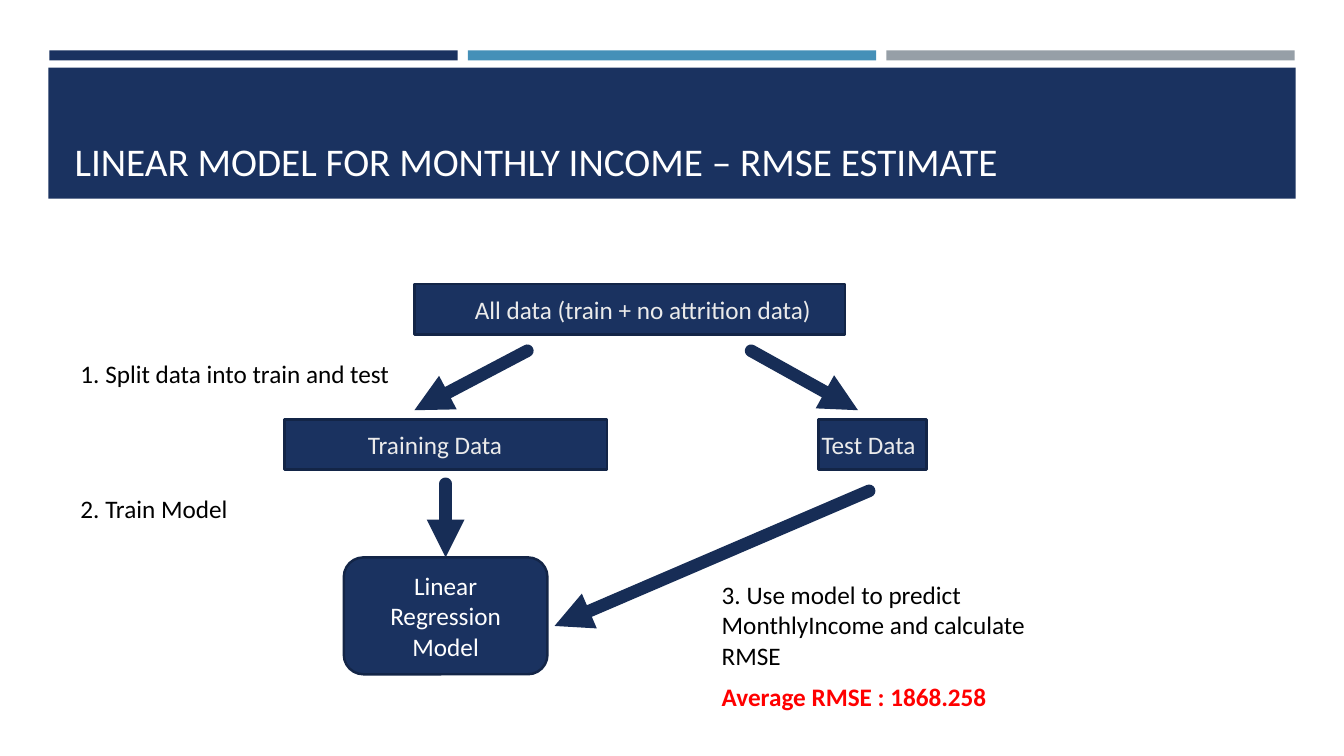
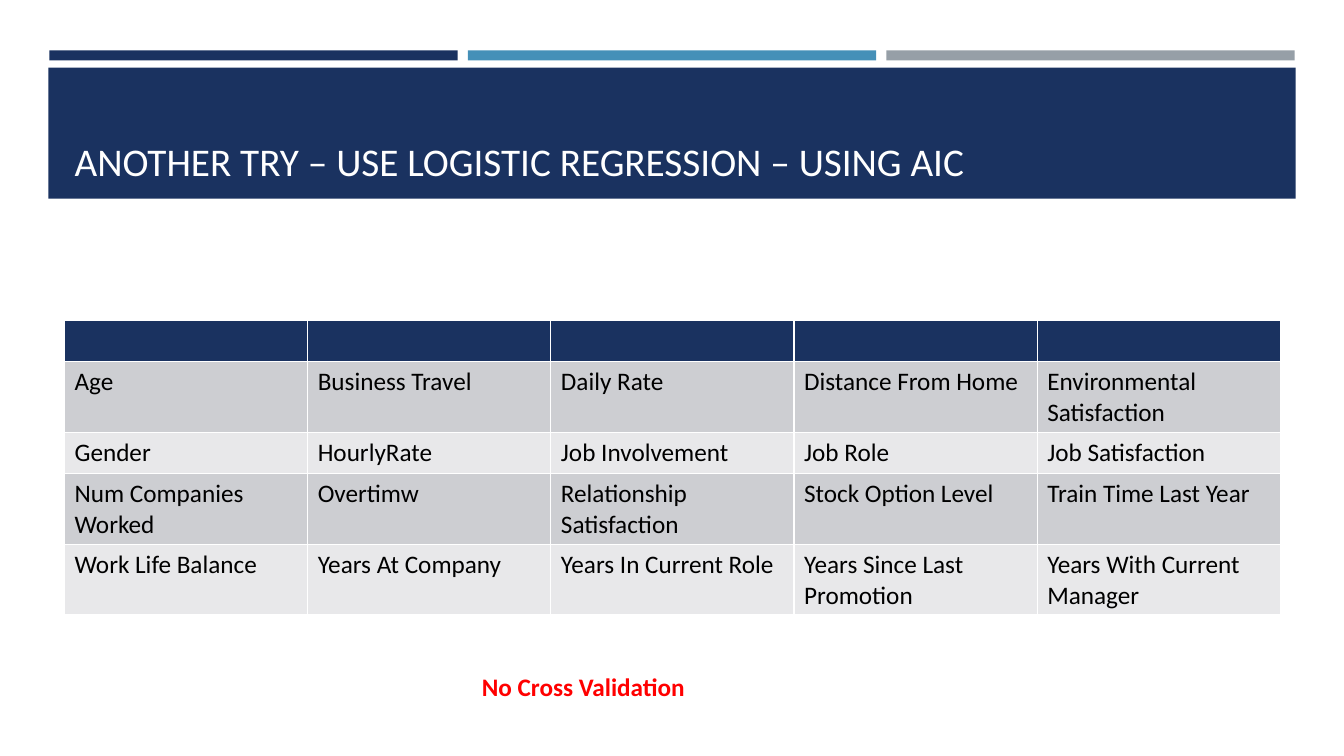
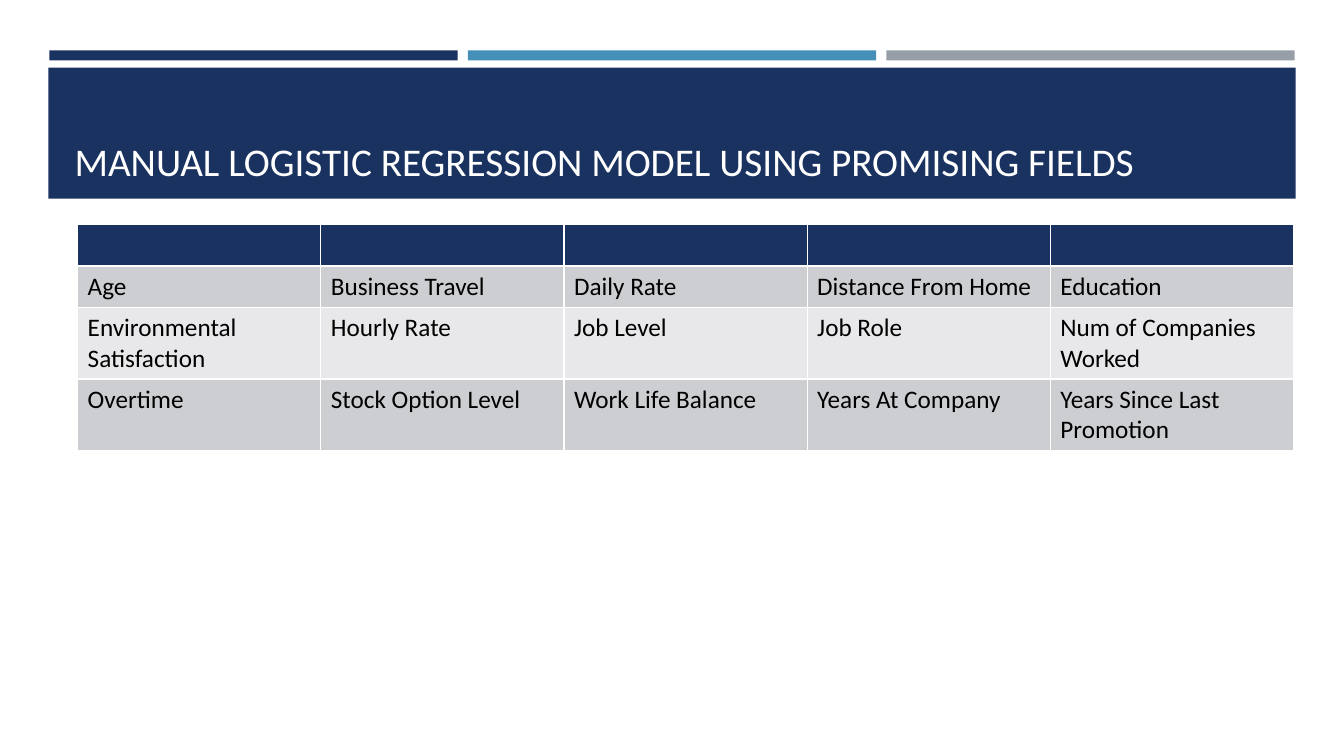
from lxml import etree
from pptx import Presentation
from pptx.dml.color import RGBColor
from pptx.enum.shapes import MSO_CONNECTOR, MSO_SHAPE
from pptx.enum.text import MSO_ANCHOR, PP_ALIGN
from pptx.oxml.ns import qn
from pptx.util import Inches, Pt

RECT, ROUNDED = MSO_SHAPE.RECTANGLE, MSO_SHAPE.ROUNDED_RECTANGLE
STRAIGHT = MSO_CONNECTOR.STRAIGHT
LEFT, CENTER = PP_ALIGN.LEFT, PP_ALIGN.CENTER
MIDDLE, BOTTOM = MSO_ANCHOR.MIDDLE, MSO_ANCHOR.BOTTOM

rgb = RGBColor.from_string
NAVY, BLUE, GRAY = "1A3260", "4590B8", "969FA7"
OUTLINE, ARROW = "132547", "172D56"
WHITE, PALE, BLACK, RED = "FFFFFF", "EBEBEB", "000000", "FF0000"
STRIPES = ["CDCED2", "E8E8EA"]

TITLES = [
    "LINEAR MODEL FOR MONTHLY INCOME – RMSE ESTIMATE",
    "ANOTHER TRY – USE LOGISTIC REGRESSION – USING AIC",
    "MANUAL LOGISTIC REGRESSION MODEL USING PROMISING FIELDS",
]


def write(tf, text, color=BLACK, size=18, bold=False, align=LEFT):
    p = tf.paragraphs[0]
    p.alignment = align
    r = p.add_run()
    r.text = text
    r.font.color.rgb = rgb(color)
    for name, value in {"name": "Calibri", "size": Pt(size), "bold": bold}.items():
        setattr(r.font, name, value)


def add_box(s, kind, box, fill, line=None):
    sp = s.shapes.add_shape(kind, *map(Inches, box))
    sp.shadow.inherit = False
    sp.fill.solid()
    sp.fill.fore_color.rgb = rgb(fill)
    if line:
        sp.line.color.rgb = rgb(line)
        sp.line.width = Pt(1.75)
    else:
        sp.line.fill.background()
    return sp


prs = Presentation()
prs.slide_width, prs.slide_height = Inches(13.33), Inches(7.5)

# Layout: title position
layout = prs.slide_layouts[5]
title = layout.placeholders[0]
title.left, title.top, title.width, title.height = map(Inches, (0.64, 0.77, 12.06, 1.11))
title.text_frame.vertical_anchor = BOTTOM

slides = []
for text in TITLES:
    s = prs.slides.add_slide(layout)
    write(s.shapes.title.text_frame, text, WHITE, 28)
    slides.append(s)
split_slide, aic_slide, manual_slide = slides

# Layout: three stripes and the title band, moved behind the title
bands = [((0.49 + 4.15 * i, 0.5, 4.05, 0.1), color)
         for i, color in enumerate([NAVY, BLUE, GRAY])]
bands.append(((0.48, 0.67, 12.37, 1.3), NAVY))
for i, (box, color) in enumerate(bands):
    band = add_box(split_slide, RECT, box, color).element
    band.nvSpPr.cNvPr.set("id", str(20 + i))
    layout.shapes.element.insert(2 + i, band)

# Slide 1: data boxes, with the left inset of their labels
for label, box, inset in [
    ("All data (train + no attrition data)", (4.11, 2.82, 4.27, 0.5), 0.6),
    ("Training Data", (2.82, 4.16, 3.2, 0.5), 0.83),
    ("Test Data", (8.12, 4.16, 1.07, 0.5), 0.03),
]:
    tf = add_box(split_slide, RECT, box, NAVY, OUTLINE).text_frame
    tf.margin_left, tf.margin_right = Inches(inset), 0
    tf.vertical_anchor = MIDDLE
    write(tf, label, PALE)

model = add_box(split_slide, ROUNDED, (3.41, 5.53, 2.02, 1.16), NAVY, OUTLINE)
model.text_frame.vertical_anchor = MIDDLE
write(model.text_frame, "Linear Regression Model", WHITE, align=CENTER)

# Slide 1: arrows
for ends in [
    (5.23, 3.48, 4.11, 4.07),
    (7.45, 3.48, 8.51, 4.07),
    (4.42, 4.8, 4.42, 5.53),
    (8.62, 4.87, 5.5, 6.21),
]:
    arrow = split_slide.shapes.add_connector(STRAIGHT, *map(Inches, ends))
    arrow.line.color.rgb = rgb(ARROW)
    arrow.line.width = Pt(9)
    ln = arrow.line._get_or_add_ln()
    ln.set("cap", "rnd")
    etree.SubElement(ln, qn("a:tailEnd"), type="triangle")
    etree.SubElement(arrow.element.spPr, qn("a:effectLst"))

# Steps and remarks
for s, text, box, color in [
    (split_slide, "1. Split data into train and test", (0.7, 3.51, 3.5, 0.4), BLACK),
    (split_slide, "2. Train Model", (0.7, 4.84, 3.5, 0.4), BLACK),
    (split_slide, "3. Use model to predict MonthlyIncome and calculate RMSE",
     (7.06, 5.7, 3.5, 1.01), BLACK),
    (split_slide, "Average RMSE : 1868.258", (7.06, 6.71, 3.5, 0.4), RED),
    (aic_slide, "No Cross Validation", (4.68, 6.61, 2.98, 0.4), RED),
]:
    tf = s.shapes.add_textbox(*map(Inches, box)).text_frame
    tf.word_wrap = True
    write(tf, text, color, bold=color == RED)

# Slides 2 and 3: tables of model fields under an empty header row
aic_fields = [
    ["Age", "Business Travel", "Daily Rate", "Distance From Home",
     "Environmental Satisfaction"],
    ["Gender", "HourlyRate", "Job Involvement", "Job Role", "Job Satisfaction"],
    ["Num Companies Worked", "Overtimw", "Relationship Satisfaction",
     "Stock Option Level", "Train Time Last Year"],
    ["Work Life Balance", "Years At Company", "Years In Current Role",
     "Years Since Last Promotion", "Years With Current Manager"],
]
manual_fields = [
    ["Age", "Business Travel", "Daily Rate", "Distance From Home", "Education"],
    ["Environmental Satisfaction", "Hourly Rate", "Job Level", "Job Role",
     "Num of Companies Worked"],
    ["Overtime", "Stock Option Level", "Work Life Balance", "Years At Company",
     "Years Since Last Promotion"],
]
for s, left, top, fields in [
    (aic_slide, 0.64, 3.18, aic_fields),
    (manual_slide, 0.77, 2.23, manual_fields),
]:
    rows = [[""] * 5] + fields
    table = s.shapes.add_table(len(rows), 5, Inches(left), Inches(top),
                               Inches(12.06), Inches(0.41 * len(rows))).table
    for i, row in enumerate(rows):
        for j, text in enumerate(row):
            cell = table.cell(i, j)
            cell.fill.solid()
            cell.fill.fore_color.rgb = rgb(STRIPES[(i - 1) % 2] if i else NAVY)
            if text:
                write(cell.text_frame, text)

prs.save("out.pptx")
